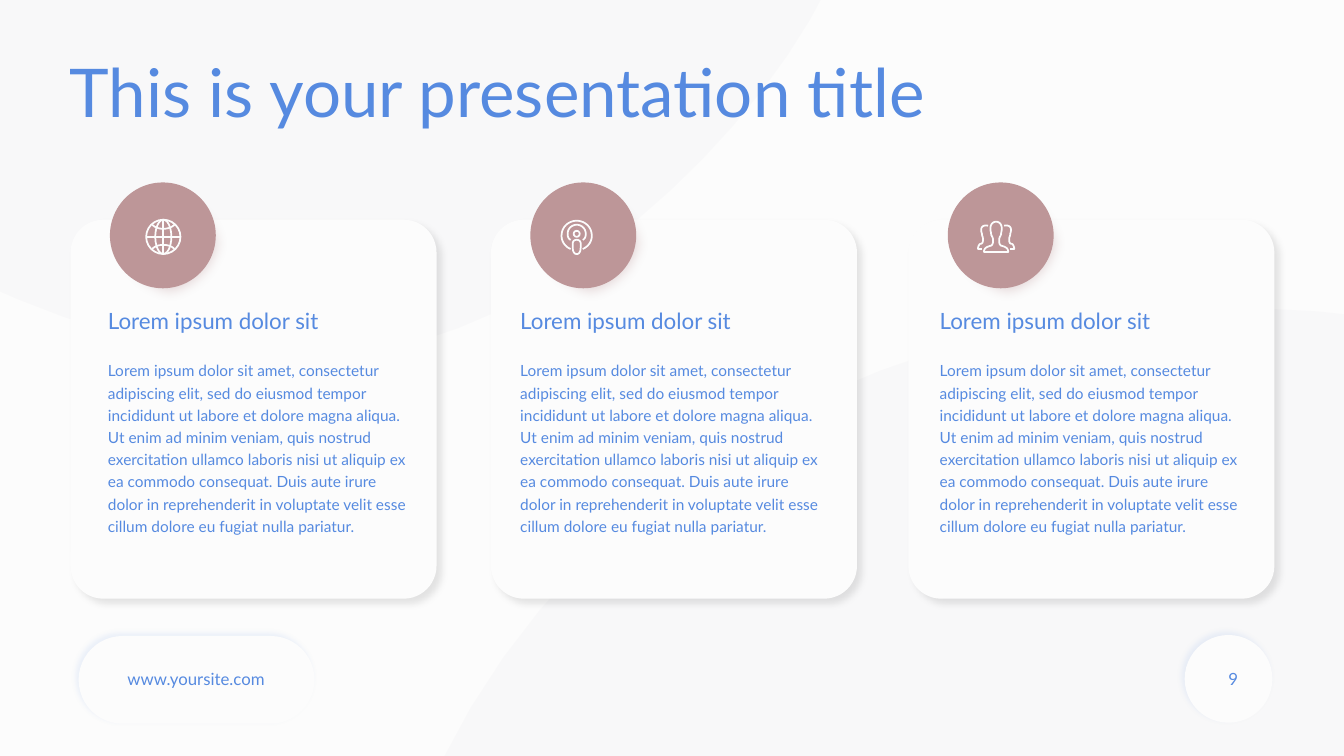
from lxml.etree import SubElement
from pptx import Presentation
from pptx.dml.color import RGBColor
from pptx.enum.shapes import MSO_CONNECTOR, MSO_SHAPE
from pptx.enum.text import MSO_ANCHOR, PP_ALIGN
from pptx.oxml.ns import qn
from pptx.util import Inches, Pt

BLUE, ROSE, PALE, MAUVE = "568AE0", "BD9698", "FCFCFC", "9A92B0"
deck = Presentation()
deck.slide_width, deck.slide_height = Inches(13.33), Inches(7.5)
col, row = deck.slide_width / 13.33, deck.slide_height / 7.5
slide = deck.slides.add_slide(deck.slide_layouts[6])
shapes = slide.shapes


def paint(item, fill=None, line=None, alpha=100, shade=None, soft=0):
    if fill:
        item.fill.solid()
        item.fill.fore_color.rgb = RGBColor.from_string(fill)
        if alpha < 100:
            tone = item._element.spPr.find(".//" + qn("a:srgbClr"))
            SubElement(tone, qn("a:alpha"), val=str(alpha * 1000))
    elif hasattr(item, "fill"):
        item.fill.background()
    if line:
        item.line.color.rgb = RGBColor.from_string(line)
        item.line.width = Pt(1.25)
    else:
        item.line.fill.background()
    glow = SubElement(item._element.spPr, qn("a:effectLst"))
    if shade:
        tint, blur, dist, turn = shade
        drop = SubElement(glow, qn("a:outerShdw"), blurRad=str(Pt(blur)), dist=str(Pt(dist)),
                          dir=str(turn * 60000), algn="ctr", rotWithShape="0")
        tone = SubElement(drop, qn("a:srgbClr"), val=tint)
        SubElement(tone, qn("a:alpha"), val="10000")
    if soft:
        SubElement(glow, qn("a:softEdge"), rad=str(Pt(soft)))


def trace(knots, close):
    spots = [(x * col, y * row) for x, y in knots]
    dots = []
    for i in range(0, len(spots) - 1, 3):
        for step in range(1, 17):
            t = step / 16
            parts = ((1 - t) ** 3, 3 * t * (1 - t) ** 2, 3 * t * t * (1 - t), t ** 3)
            dots.append(tuple(sum(w * p[k] for w, p in zip(parts, spots[i:i + 4])) for k in (0, 1)))
    pen = shapes.build_freeform(*spots[0])
    pen.add_line_segments(dots, close=close)
    return pen.convert_to_shape()


back = slide.background.fill
back.solid()
back.fore_color.rgb = RGBColor.from_string(PALE)

blobs = [
    [(8.52, -2.22), (9.06, -0.6), (7.17, 1.84), (5.26, 2.92), (3.34, 3.99), (1.41, 3.72),
     (-1.24, 2.29), (-3.9, 0.88), (-7.27, -1.7), (-6.83, -3.2), (-6.41, -4.7), (-2.16, -5.1),
     (1.44, -4.9), (5.04, -4.68), (7.99, -3.85), (8.52, -2.22)],
    [(19.8, 6.97), (20.57, 9.45), (18.28, 12.8), (15.15, 15.1), (12.02, 17.4), (8.06, 18.62),
     (5.77, 17.07), (3.5, 15.52), (2.92, 11.2), (4.13, 8.12), (5.34, 5.04), (8.36, 3.2),
     (11.78, 3.06), (15.2, 2.93), (19.04, 4.51), (19.8, 6.97)],
]
for blob in blobs:
    paint(trace(blob, True), MAUVE, alpha=3)

cards = [(0.7, 1.07), (4.87, 5.16), (9.01, 9.32)]
round_, oval = MSO_SHAPE.ROUNDED_RECTANGLE, MSO_SHAPE.OVAL
cool, dark = (BLUE, 4, 3, 225), ("000000", 5, 5, 45)
forms = [
    (oval, 11.75, 6.3, 0.87, 0.87, None, PALE, 100, cool, 0),
    (round_, 0.78, 6.31, 2.34, 0.87, 0.5, PALE, 100, cool, 0),
]
for left, _ in cards:
    forms += [
        (round_, left, 2.18, 3.63, 3.76, 0.09, PALE, 100, dark, 0),
        (oval, left + 0.38, 1.81, 1.21, 1.21, None, ROSE, 40, None, 9),
        (oval, left + 0.39, 1.81, 1.05, 1.05, None, ROSE, 100, None, 0),
    ]
for kind, x, y, w, h, curve, fill, alpha, shade, soft in forms:
    form = shapes.add_shape(kind, int(x * col), int(y * row), int(w * col), int(h * row))
    if curve:
        form.adjustments[0] = curve
    paint(form, fill, alpha=alpha, shade=shade, soft=soft)

globe, cast, team, mid = 1.62, 5.72, 9.88, 2.35
rings = [(globe, mid, 0.17, 0.17), (globe, mid, 0.08, 0.17), (cast, 2.32, 0.03, 0.03)]
for x, y, wide, high in rings:
    ring = shapes.add_shape(oval, int((x - wide) * col), int((y - high) * row),
                            int(2 * wide * col), int(2 * high * row))
    paint(ring, line=PALE)
for dx, dy in [(0.17, 0), (0, 0.17)]:
    ends = ((globe - dx) * col, (mid - dy) * row, (globe + dx) * col, (mid + dy) * row)
    paint(shapes.add_connector(MSO_CONNECTOR.STRAIGHT, *map(int, ends)), line=PALE)

halves = [
    (globe, False, [(0, 2.27), (0.04, 2.27), (0.08, 2.26), (0.11, 2.23)]),
    (globe, False, [(0, 2.43), (0.04, 2.43), (0.08, 2.44), (0.11, 2.47)]),
    (cast, False, [(0, 2.19), (0.08, 2.19), (0.15, 2.25), (0.15, 2.34),
                   (0.15, 2.4), (0.11, 2.45), (0.06, 2.47)]),
    (cast, False, [(0, 2.23), (0.05, 2.23), (0.09, 2.27), (0.09, 2.32),
                   (0.09, 2.35), (0.08, 2.37), (0.06, 2.38)]),
    (cast, True, [(0, 2.38), (0.03, 2.38), (0.04, 2.4), (0.04, 2.42), (0.04, 2.45),
                  (0.04, 2.49), (0.03, 2.5), (0.02, 2.52), (0.01, 2.52), (0, 2.52)]),
    (team, True, [(0, 2.2), (0.04, 2.2), (0.07, 2.24), (0.05, 2.31), (0.05, 2.35),
                  (0.03, 2.34), (0.03, 2.39), (0.03, 2.43), (0.05, 2.44), (0.06, 2.44),
                  (0.09, 2.45), (0.12, 2.46), (0.12, 2.5)]),
]
for x, close, half in halves:
    full = [(-dx, y) for dx, y in half[:0:-1]] + half
    paint(trace([(x + dx, y) for dx, y in full], close), line=PALE)
side = [(0.08, 2.24), (0.11, 2.23), (0.17, 2.24), (0.14, 2.32), (0.14, 2.35), (0.13, 2.34),
        (0.13, 2.38), (0.13, 2.42), (0.15, 2.42), (0.16, 2.42), (0.17, 2.43), (0.18, 2.45),
        (0.18, 2.47), (0.16, 2.47), (0.15, 2.47), (0.14, 2.47)]
for flip in (-1, 1):
    paint(trace([(team + flip * dx, y) for dx, y in side], False), line=PALE)

body = ("Lorem ipsum dolor sit amet, consectetur adipiscing elit, sed do eiusmod tempor "
        "incididunt ut labore et dolore magna aliqua. Ut enim ad minim veniam, quis nostrud "
        "exercitation ullamco laboris nisi ut aliquip ex ea commodo consequat. Duis aute irure "
        "dolor in reprehenderit in voluptate velit esse cillum dolore eu fugiat nulla pariatur.")
top, middle = MSO_ANCHOR.TOP, MSO_ANCHOR.MIDDLE
texts = [
    ("This is your presentation title", 0.69, 0.59, 10.7, 1.09, 48, 0.9, PP_ALIGN.LEFT, top),
    ("www.yoursite.com", 1.15, 6.58, 1.59, 0.3, 12, 1, PP_ALIGN.CENTER, middle),
    ("9", 9.38, 6.53, 2.9, 0.4, 12, 1, PP_ALIGN.RIGHT, middle),
]
for _, left in cards:
    texts += [
        ("Lorem ipsum dolor sit", left, 3.08, 3.02, 0.4, 16, 0.9, PP_ALIGN.LEFT, top),
        (body, left, 3.55, 3.02, 1.98, 11, 1.2, PP_ALIGN.LEFT, top),
    ]
for words, x, y, w, h, size, gap, align, anchor in texts:
    frame = shapes.add_textbox(int(x * col), int(y * row), int(w * col), int(h * row)).text_frame
    frame.word_wrap = True
    frame.vertical_anchor = anchor
    frame.margin_left = frame.margin_right = frame.margin_top = frame.margin_bottom = 0
    para = frame.paragraphs[0]
    para.alignment, para.line_spacing = align, gap
    run = para.add_run()
    run.text = words
    run.font.name, run.font.size = "Lato", Pt(size)
    run.font.color.rgb = RGBColor.from_string(BLUE)

deck.save("out.pptx")
